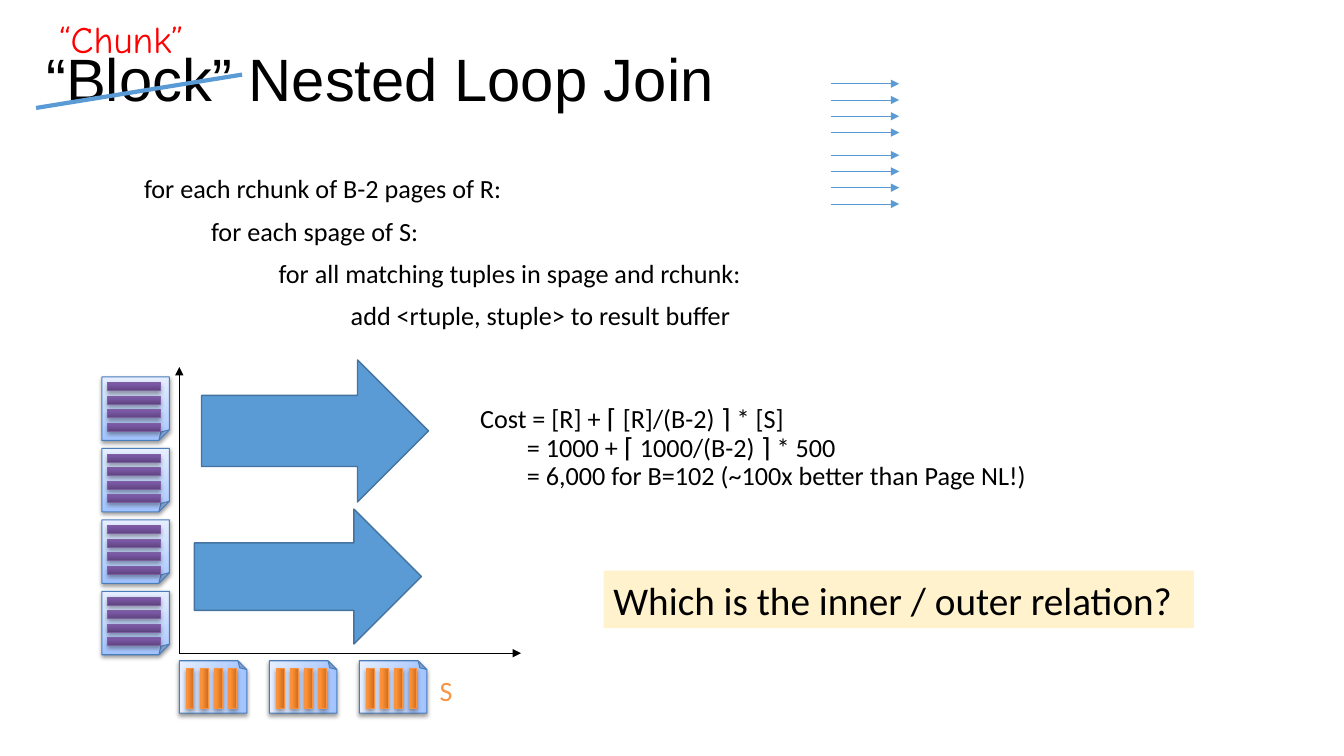
"""Build the slide that explains the block nested loop join."""
from dataclasses import dataclass

from lxml.etree import SubElement
from pptx import Presentation
from pptx.dml.color import RGBColor
from pptx.enum.shapes import MSO_CONNECTOR, MSO_SHAPE
from pptx.enum.text import MSO_ANCHOR as Anchor, MSO_AUTO_SIZE as AutoSize, PP_ALIGN as Align
from pptx.oxml.ns import qn
from pptx.shapes.autoshape import Shape
from pptx.slide import Slide
from pptx.util import Cm, Pt

COLORS = {
    "black": "000000", "red": "FF0000", "blue": "5B9BD5", "arrow_edge": "43739E",
    "page_edge": "4A7EBB", "r_edge": "7D60A0", "s_edge": "F69240",
    "s_label": "F79646", "question": "FFF2CC",
}
PAGE_STOPS = ((0, "A2C3FF"), (35, "BDD4FF"), (100, "E6EEFF"))
R_STOPS = ((0, "5E437E"), (80, "7B58A6"), (100, "7B57A8"))
S_STOPS = ((0, "C96D20"), (80, "FF9034"), (100, "FF9035"))


@dataclass(frozen=True)
class Relation:
    """Page size, tuple bars and page centres of one relation, in cm."""
    width: float
    height: float
    bar_width: float
    first_bar: float
    bar_pitch: float
    turned: bool
    stops: tuple
    edge: str
    centers: tuple


@dataclass(frozen=True)
class CodeLine:
    """One line of the algorithm or of its cost."""
    text: str
    indent: float
    before: float = 10


@dataclass(frozen=True)
class Stroke:
    """A straight line with its ends in cm."""
    start: tuple
    end: tuple
    color: str
    weight: float
    arrow: bool = True


RELATIONS = (
    Relation(1.7, 1.6, 1.32, -0.55, 0.34, False, R_STOPS, "r_edge",
             tuple((3.42, 10.3 + 1.8 * i) for i in range(4))),
    Relation(1.32, 1.7, 1.02, -0.58, 0.36, True, S_STOPS, "s_edge",
             tuple((5.37 + 2.27 * i, 17.31) for i in range(3))),
)
CODE_LINES = (
    CodeLine("for each rchunk of B-2 pages of R:", 0, 0),
    CodeLine("for each spage of S:", 1.69),
    CodeLine("for all matching tuples in spage and rchunk:", 3.39),
    CodeLine("add <rtuple, stuple> to result buffer", 5.21),
    CodeLine("Cost = [R] + ⌈ [R]/(B-2) ⌉ * [S]", 8.47, 53.3),
    CodeLine("= 1000 + ⌈ 1000/(B-2) ⌉ * 500", 9.65, 0),
    CodeLine("= 6,000 for B=102 (~100x better than Page NL!)", 9.65, 0),
)
AXIS_ORIGIN = (4.52, 16.46)
STROKES = (
    Stroke(AXIS_ORIGIN, (4.52, 9.25), "black", 1),
    Stroke(AXIS_ORIGIN, (13.13, 16.46), "black", 1),
    Stroke((0.91, 2.72), (6.1, 1.88), "blue", 3, False),
    *(Stroke((20.93, top + 0.41 * i), (22.66, top + 0.41 * i), "blue", 0.5)
      for top in (2.11, 3.91) for i in range(4)),
)
CHUNK_ARROWS = ((4.9, 12.83, 5.72, 3.4), (5.08, 9.07, 5.72, 3.58))


def rgb(name: str) -> RGBColor:
    """Look up a named colour."""
    return RGBColor.from_string(COLORS[name])


def write(frame, text: str, *, size: float, font: str = "Calibri", color: str = "black",
          indent: float = 0, before: float = 0, spacing: float = 1.0) -> None:
    """Write one left-aligned paragraph, reusing the first one if empty."""
    paragraph = frame.paragraphs[0] if not frame.text else frame.add_paragraph()
    properties = paragraph._p.get_or_add_pPr()
    properties.set("marL", str(Cm(indent)))
    properties.set("indent", "0")
    paragraph.alignment = Align.LEFT
    paragraph.line_spacing = spacing
    paragraph.space_before = Pt(before)
    run = paragraph.add_run()
    run.text = text
    run.font.size, run.font.name = Pt(size), font
    run.font.color.rgb = rgb(color)


def add_text_box(slide: Slide, box: tuple, wrap: bool, inset: float = 0.25):
    """Add a text box and return its text frame."""
    frame = slide.shapes.add_textbox(*map(Cm, box)).text_frame
    frame.word_wrap = wrap
    frame.margin_left = frame.margin_right = Cm(inset)
    return frame


def shade(shape: Shape, stops: tuple, edge: str, distance: float, opacity: int) -> None:
    """Give a shape an upward gradient, a thin edge and a soft shadow."""
    shape.fill.gradient()
    shape.fill.gradient_angle = 90
    shape.line.color.rgb, shape.line.width = rgb(edge), Pt(0.75)
    shape.shadow.inherit = False
    properties = shape._element.spPr
    stop_list = properties.find(".//" + qn("a:gsLst"))
    stop_list.clear()
    for position, color in stops:
        stop = SubElement(stop_list, qn("a:gs"), pos=str(position * 1000))
        SubElement(stop, qn("a:srgbClr"), val=color)
    shadow = SubElement(properties.find(qn("a:effectLst")), qn("a:outerShdw"),
                        blurRad=str(Pt(3)), dist=str(Pt(distance)), dir="5400000",
                        rotWithShape="0")
    tint = SubElement(shadow, qn("a:srgbClr"), val=COLORS["black"])
    SubElement(tint, qn("a:alpha"), val=str(opacity * 1000))


def add_page(slide: Slide, relation: Relation, center: tuple) -> None:
    """Draw one page with four tuple bars as a group."""
    group = slide.shapes.add_group_shape()

    def place(preset, dx: float, dy: float, width: float, height: float) -> Shape:
        """Place a part by its offset from the page centre before turning."""
        x, y = (dy, -dx) if relation.turned else (dx, dy)
        part = group.shapes.add_shape(
            preset, Cm(center[0] + x - width / 2), Cm(center[1] + y - height / 2),
            Cm(width), Cm(height))
        part.rotation = 270 if relation.turned else 0
        return part

    sheet = place(MSO_SHAPE.FOLDED_CORNER, 0, 0, relation.width, relation.height)
    shade(sheet, PAGE_STOPS, "page_edge", 1.6, 38)
    for i in range(4):
        bar = place(MSO_SHAPE.RECTANGLE, -0.04, relation.first_bar + i * relation.bar_pitch,
                    relation.bar_width, 0.2)
        shade(bar, relation.stops, relation.edge, 1.8, 35)


def add_stroke(slide: Slide, stroke: Stroke) -> None:
    """Draw a straight line, with an arrowhead if asked for."""
    connector = slide.shapes.add_connector(
        MSO_CONNECTOR.STRAIGHT, *map(Cm, stroke.start + stroke.end))
    connector.line.color.rgb = rgb(stroke.color)
    connector.line.width = Pt(stroke.weight)
    properties = connector._element.spPr
    if stroke.arrow:
        SubElement(properties.find(qn("a:ln")), qn("a:tailEnd"), type="triangle")
    SubElement(properties, qn("a:effectLst"))


def add_block(slide: Slide, preset, box: tuple, fill: str) -> Shape:
    """Add a flat filled shape without a shadow."""
    block = slide.shapes.add_shape(preset, *map(Cm, box))
    block.shadow.inherit = False
    block.fill.solid()
    block.fill.fore_color.rgb = rgb(fill)
    return block


def main() -> None:
    """Build and save the presentation."""
    deck = Presentation()
    deck.slide_width, deck.slide_height = Cm(33.87), Cm(19.05)
    slide = deck.slides.add_slide(deck.slide_layouts[5])

    title = slide.shapes.title
    title.left, title.top, title.width, title.height = map(Cm, (0.91, 1.14, 27.86, 4.24))
    title.text_frame.vertical_anchor = Anchor.TOP
    title.text_frame.auto_size = AutoSize.NONE
    write(title.text_frame, "“Block” Nested Loop Join", size=42.7, font="Arial", spacing=0.9)

    algorithm = add_text_box(slide, (3.38, 4.32, 32.11, 9.68), True)
    for line in CODE_LINES:
        write(algorithm, line.text, size=18.7, indent=line.indent, before=line.before,
              spacing=0.9)

    for relation in RELATIONS:
        for center in relation.centers:
            add_page(slide, relation, center)
    s_label = add_text_box(slide, (10.95, 16.84, 0.58, 1.12), False, 0.13)
    write(s_label, "S", size=20, color="s_label")

    for box in CHUNK_ARROWS:
        arrow = add_block(slide, MSO_SHAPE.RIGHT_ARROW, box, "blue")
        arrow.line.color.rgb, arrow.line.width = rgb("arrow_edge"), Pt(1)
    chunk = add_text_box(slide, (1.24, 0.28, 4.17, 1.4), False)
    write(chunk, "“Chunk”", size=26.7, font="Comic Neue", color="red")
    for stroke in STROKES:
        add_stroke(slide, stroke)

    question = add_block(slide, MSO_SHAPE.RECTANGLE, (15.21, 14.38, 14.88, 1.45), "question")
    question.line.fill.background()
    write(question.text_frame, "Which is the inner / outer relation?", size=28)
    deck.save("out.pptx")


if __name__ == "__main__":
    main()
